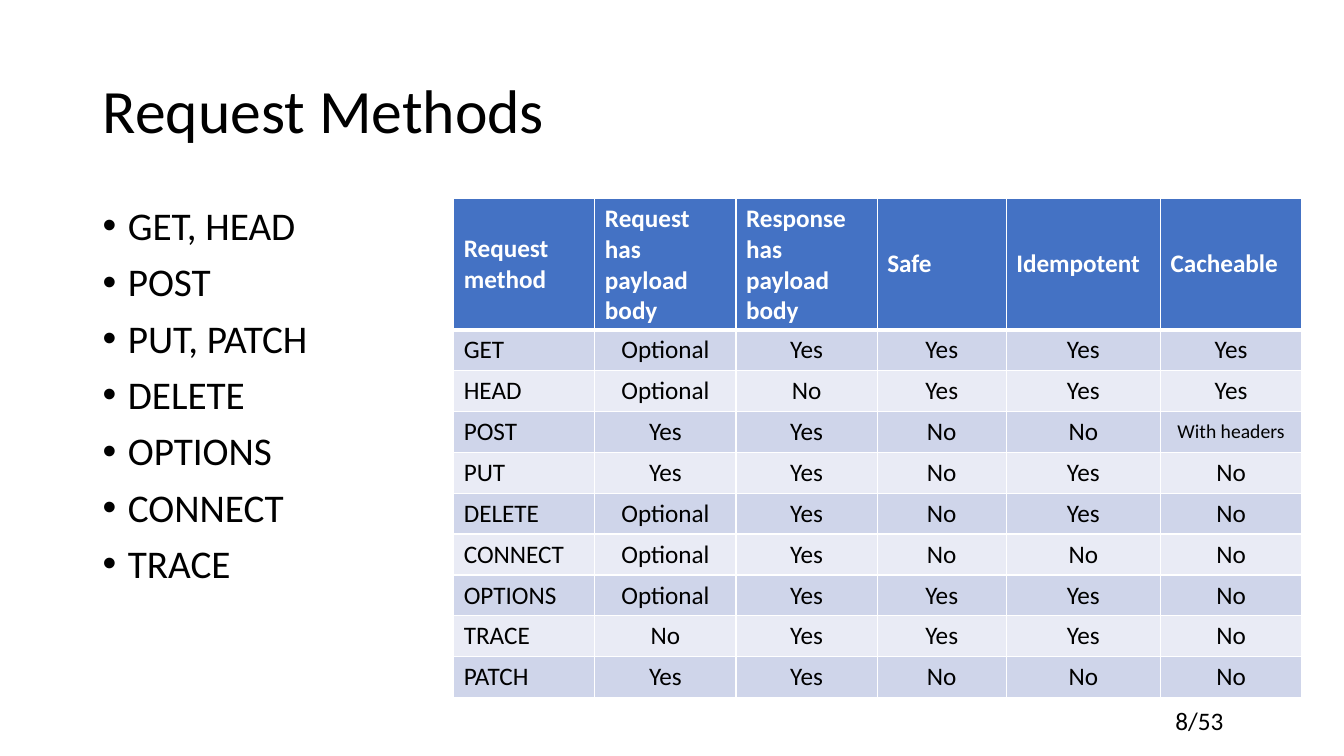
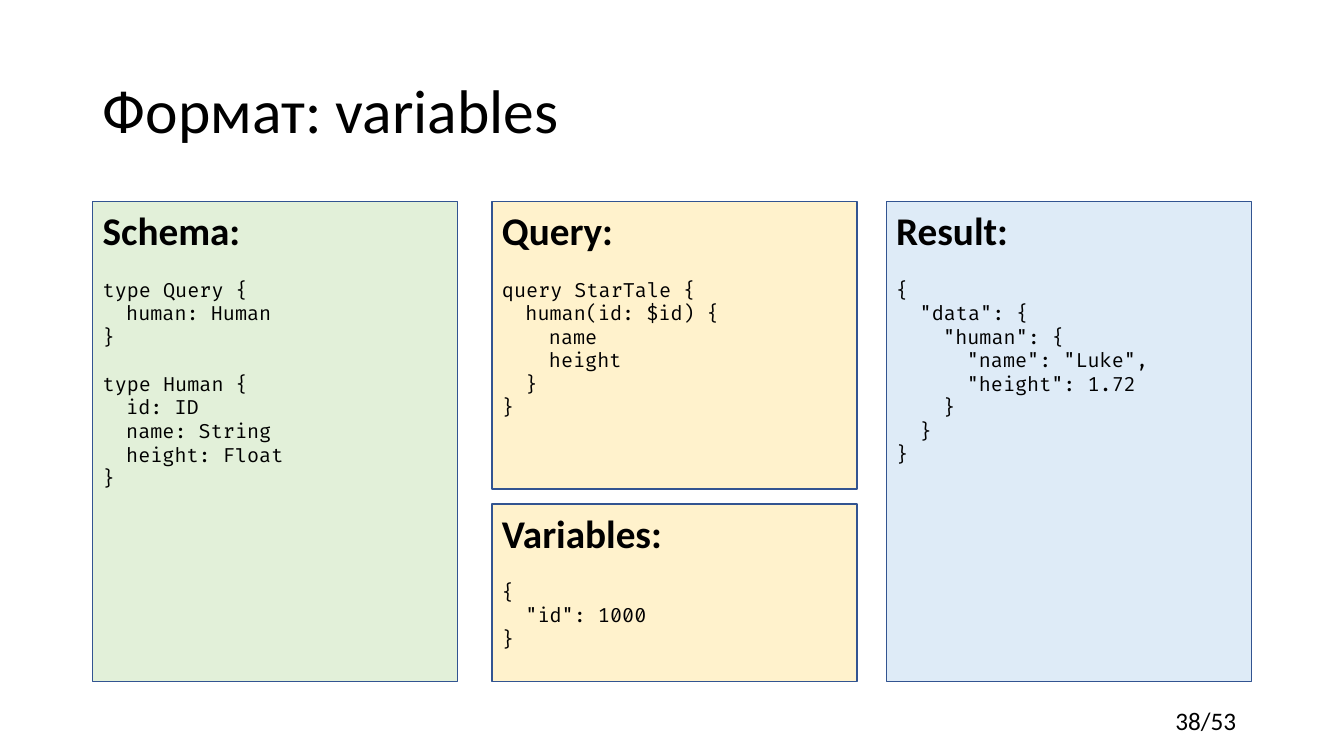
from lxml.etree import SubElement
from pptx import Presentation
from pptx.dml.color import RGBColor
from pptx.enum.shapes import MSO_SHAPE as Shape
from pptx.enum.text import MSO_ANCHOR as Anchor, MSO_AUTO_SIZE as AutoSize, PP_ALIGN as Align
from pptx.oxml.ns import qn
from pptx.util import Inches, Pt

COLORS = {
    "text": "000000", "white": "FFFFFF", "header": "4472C4",
    "odd_row": "CFD5EA", "even_row": "E9EBF5", "outline": "325491",
    "schema": "E2F0D9", "query": "FFF2CC", "result": "DEEBF7",
}
BODY_FONT, CODE_FONT = "Calibri", "Fira Code"
PAGE_TOTAL = 53
LEFT, CONTENT_TOP, CONTENT_WIDTH, CONTENT_HEIGHT = 0.92, 2, 11.5, 4.76
TABLE_LEFT, TABLE_TOP, TABLE_HEIGHT, HEADER_HEIGHT = 4.5, 1.97, 4.95, 1.3
COLUMN_WIDTHS = [1.4, 1.4, 1.4, 1.28, 1.53, 1.4]
PANEL_WIDTH = 3.62
CODE_SIZE, CODE_LINE = 14, 17
CODE_SPACE = Pt(CODE_SIZE * 0.6)

METHOD_GROUPS = ["GET, HEAD", "POST", "PUT, PATCH", "DELETE", "OPTIONS", "CONNECT", "TRACE"]
METHOD_TABLE = [
    ["Request method", "Request has payload body", "Response has payload body",
     "Safe", "Idempotent", "Cacheable"],
    ["GET", "Optional", "Yes", "Yes", "Yes", "Yes"],
    ["HEAD", "Optional", "No", "Yes", "Yes", "Yes"],
    ["POST", "Yes", "Yes", "No", "No", "With headers"],
    ["PUT", "Yes", "Yes", "No", "Yes", "No"],
    ["DELETE", "Optional", "Yes", "No", "Yes", "No"],
    ["CONNECT", "Optional", "Yes", "No", "No", "No"],
    ["OPTIONS", "Optional", "Yes", "Yes", "Yes", "No"],
    ["TRACE", "No", "Yes", "Yes", "Yes", "No"],
    ["PATCH", "Yes", "Yes", "No", "No", "No"],
]

SCHEMA_CODE = """type Query {
  human: Human
}

type Human {
  id: ID
  name: String
  height: Float
}"""
QUERY_CODE = """query StarTale {
  human(id: $id) {
    name
    height
  }
}"""
RESULT_CODE = """{
  "data": {
    "human": {
      "name": "Luke",
      "height": 1.72
    }
  }
}"""
VARIABLES_CODE = """{
  "id": 1000
}"""


def rgb(name):
    """Return the named colour."""
    return RGBColor.from_string(COLORS[name])


def inches(*lengths):
    """Convert several lengths to inches."""
    return [Inches(length) for length in lengths]


def style(paragraph, size, color="text", bold=False, font=BODY_FONT, align=Align.LEFT):
    """Format a paragraph and its runs."""
    paragraph.alignment = align
    for run in paragraph.runs:
        run.font.size, run.font.bold, run.font.name = Pt(size), bold, font
        run.font.color.rgb = rgb(color)


def add_titled_slide(deck, title_text, page):
    """Add a slide with its title and page number."""
    slide = deck.slides.add_slide(deck.slide_layouts[5])
    title = slide.shapes.title
    title.left, title.top, title.width, title.height = inches(LEFT, 0.4, CONTENT_WIDTH, 1.45)
    frame = title.text_frame
    frame.text = title_text
    frame.auto_size, frame.vertical_anchor = AutoSize.NONE, Anchor.MIDDLE
    frame.paragraphs[0].line_spacing = 0.9
    style(frame.paragraphs[0], 44)

    footer = slide.shapes.add_textbox(*inches(11.56, 6.95, 0.85, 0.4)).text_frame
    footer.text = f"{page}/{PAGE_TOTAL}"
    footer.word_wrap, footer.auto_size = False, AutoSize.SHAPE_TO_FIT_TEXT
    style(footer.paragraphs[0], 18)
    return slide


def add_bullets(slide, items):
    """Add a bulleted list."""
    box = slide.shapes.add_textbox(*inches(LEFT, CONTENT_TOP, CONTENT_WIDTH, CONTENT_HEIGHT))
    frame = box.text_frame
    frame.word_wrap = True
    frame.text = "\n".join(items)
    for paragraph in frame.paragraphs:
        style(paragraph, 28)
        paragraph.line_spacing, paragraph.space_before = 0.9, Pt(10)
        properties = paragraph._p.get_or_add_pPr()
        properties.set("marL", str(Inches(0.25)))
        properties.set("indent", str(Inches(-0.25)))
        SubElement(properties, qn("a:buFont"), typeface="Arial")
        SubElement(properties, qn("a:buChar"), char="•")


def set_borders(cell, top, bottom):
    """Draw white borders around a table cell."""
    properties = cell._tc.get_or_add_tcPr()
    for index, (side, width) in enumerate((("L", 1), ("R", 1), ("T", top), ("B", bottom))):
        line = SubElement(properties, qn(f"a:ln{side}"), w=str(Pt(width)))
        fill = SubElement(line, qn("a:solidFill"))
        SubElement(fill, qn("a:srgbClr"), val=COLORS["white"])
        properties.insert(index, line)


def add_method_table(slide, rows):
    """Add the banded table of request methods."""
    frame = slide.shapes.add_table(
        len(rows), len(COLUMN_WIDTHS),
        *inches(TABLE_LEFT, TABLE_TOP, sum(COLUMN_WIDTHS), TABLE_HEIGHT))
    table = frame.table
    table.horz_banding = False
    for column, width in zip(table.columns, COLUMN_WIDTHS):
        column.width = Inches(width)
    body_height = (TABLE_HEIGHT - HEADER_HEIGHT) / (len(rows) - 1)
    for row_index, values in enumerate(rows):
        is_header = row_index == 0
        table.rows[row_index].height = Inches(HEADER_HEIGHT if is_header else body_height)
        band = "header" if is_header else "odd_row" if row_index % 2 else "even_row"
        for column_index, value in enumerate(values):
            cell = table.cell(row_index, column_index)
            cell.text_frame.text = value
            cell.vertical_anchor = Anchor.MIDDLE
            cell.fill.solid()
            cell.fill.fore_color.rgb = rgb(band)
            set_borders(cell, 3 if row_index == 1 else 1, 3 if is_header else 1)
            style(cell.text_frame.paragraphs[0],
                  14 if value == "With headers" else 18,
                  "white" if is_header else "text", is_header,
                  align=Align.LEFT if is_header or column_index == 0 else Align.CENTER)


def add_code_panel(slide, heading, code, color, left, top, height):
    """Add a coloured panel with a heading and indented code."""
    panel = slide.shapes.add_shape(Shape.RECTANGLE, *inches(left, top, PANEL_WIDTH, height))
    panel.shadow.inherit = False
    panel.fill.solid()
    panel.fill.fore_color.rgb = rgb(color)
    panel.line.color.rgb = rgb("outline")
    panel.line.width = Pt(1)
    frame = panel.text_frame
    frame.word_wrap, frame.vertical_anchor = True, Anchor.TOP
    frame.text = heading
    style(frame.paragraphs[0], 28, bold=True)
    gap = CODE_LINE
    for code_line in code.splitlines():
        statement = code_line.lstrip()
        if not statement:
            gap = CODE_LINE
            continue
        paragraph = frame.add_paragraph()
        paragraph.text = statement
        paragraph.space_before = Pt(gap)
        style(paragraph, CODE_SIZE, font=CODE_FONT)
        indent = (len(code_line) - len(statement)) * CODE_SPACE
        paragraph._p.get_or_add_pPr().set("marL", str(indent))
        gap = 0


def main():
    """Build and save the deck."""
    deck = Presentation()
    deck.slide_width, deck.slide_height = inches(13.33, 7.5)

    methods = add_titled_slide(deck, "Request Methods", 8)
    add_bullets(methods, METHOD_GROUPS)
    add_method_table(methods, METHOD_TABLE)

    variables = add_titled_slide(deck, "Формат: variables", 38)
    for panel in (
        ("Schema:", SCHEMA_CODE, "schema", LEFT, CONTENT_TOP, CONTENT_HEIGHT),
        ("Query:", QUERY_CODE, "query", 4.88, CONTENT_TOP, 2.85),
        ("Result:", RESULT_CODE, "result", 8.79, CONTENT_TOP, CONTENT_HEIGHT),
        ("Variables:", VARIABLES_CODE, "query", 4.88, 5, 1.76),
    ):
        add_code_panel(variables, *panel)

    deck.save("out.pptx")


if __name__ == "__main__":
    main()
